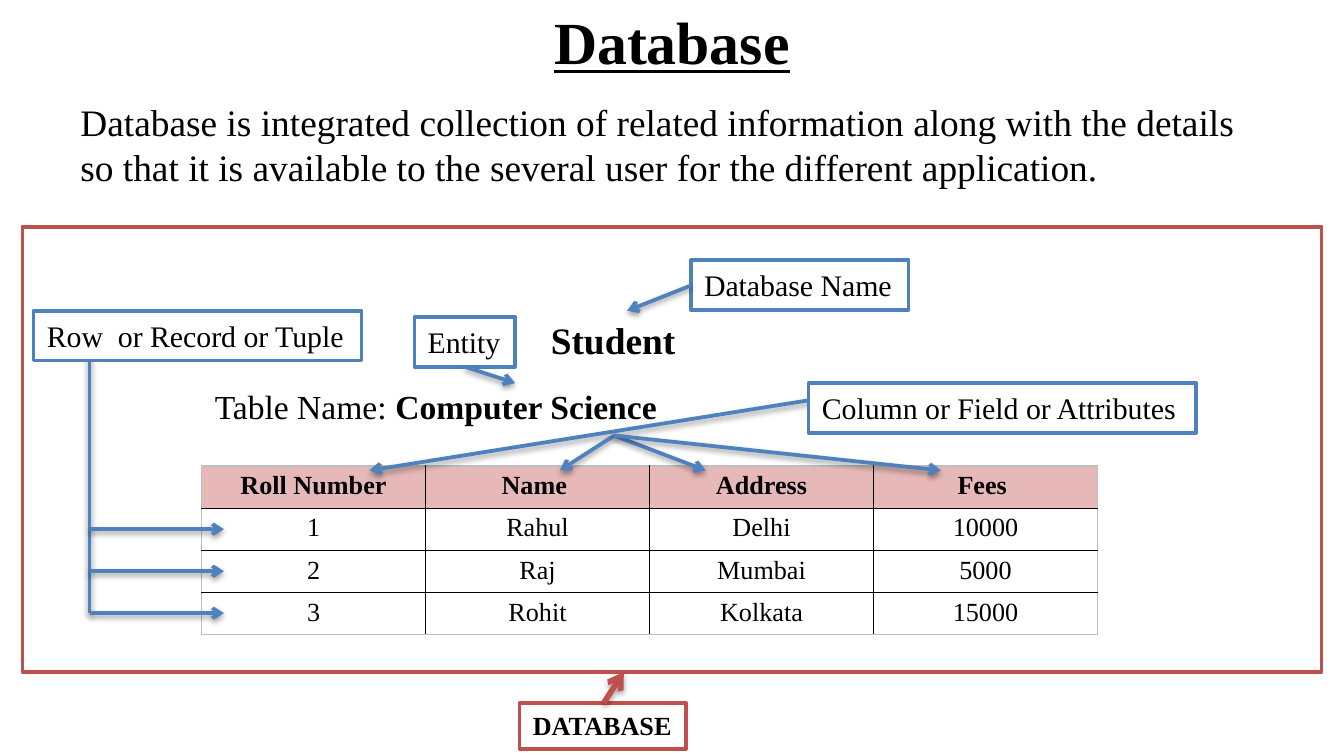
from dataclasses import dataclass

from lxml.etree import SubElement
from pptx import Presentation
from pptx.dml.color import RGBColor
from pptx.enum.shapes import MSO_CONNECTOR as LINE, MSO_SHAPE as SHAPE
from pptx.enum.text import MSO_ANCHOR as ANCHOR, MSO_AUTO_SIZE as FIT, PP_ALIGN as ALIGN
from pptx.oxml.ns import qn
from pptx.util import Inches, Pt


@dataclass(frozen=True)
class Theme:
    font: str = "Times New Roman"
    ink: str = "000000"
    paper: str = "FFFFFF"
    blue: str = "4F81BD"
    red: str = "C0504D"
    header: str = "E6B9B8"
    edge: str = "BFBFBF"
    title: int = 32
    body: int = 20
    caption: int = 18
    label: int = 16
    small: int = 14
    stroke: int = 2


def rgb(value):
    return RGBColor.from_string(value)


class Deck:
    COLS, ROWS = 60, 90

    def __init__(self, theme):
        self.theme = theme
        self.prs = Presentation()
        self.prs.slide_width, self.prs.slide_height = Inches(10), Inches(5.625)
        self.s = self.prs.slides.add_slide(self.prs.slide_layouts[6])

    def x(self, cols):
        return round(self.prs.slide_width * cols / self.COLS)

    def y(self, rows):
        return round(self.prs.slide_height * rows / self.ROWS)

    def area(self, left, top, width, height):
        return self.x(left), self.y(top), self.x(width), self.y(height)

    def fill_text(self, tf, runs, size, align=ALIGN.LEFT, **frame):
        for name, value in frame.items():
            setattr(tf, name, value)
        p = tf.paragraphs[0]
        p.alignment = align
        for text, extra in runs:
            r = p.add_run()
            r.text = text
            style = {"name": self.theme.font, "size": Pt(size), "bold": False} | extra
            for name, value in style.items():
                setattr(r.font, name, value)
            r.font.color.rgb = rgb(self.theme.ink)

    def text(self, area, runs, size, align=ALIGN.LEFT, **frame):
        sp = self.s.shapes.add_textbox(*self.area(*area))
        self.fill_text(sp.text_frame, runs, size, align, **frame)

    def box(self, area, color):
        sp = self.s.shapes.add_shape(SHAPE.RECTANGLE, *self.area(*area))
        sp.shadow.inherit = False
        sp.fill.solid()
        sp.fill.fore_color.rgb = rgb(self.theme.paper)
        sp.line.color.rgb = rgb(color)
        sp.line.width = Pt(self.theme.stroke)
        return sp

    def label(self, area, text, color, size, bold=False):
        sp = self.box(area, color)
        self.fill_text(sp.text_frame, [(text, {"bold": bold})], size,
                       vertical_anchor=ANCHOR.TOP, word_wrap=False,
                       auto_size=FIT.SHAPE_TO_FIT_TEXT)

    def line(self, start, end, color, width, head=True, alpha=38, drop=1.6):
        points = (f(v) for point in (start, end) for f, v in zip((self.x, self.y), point))
        sp = self.s.shapes.add_connector(LINE.STRAIGHT, *points)
        sp.line.color.rgb = rgb(color)
        sp.line.width = Pt(width)
        spPr = sp.element.spPr
        if head:
            SubElement(spPr.find(qn("a:ln")), qn("a:tailEnd"), type="arrow")
        effects = SubElement(spPr, qn("a:effectLst"))
        shadow = SubElement(effects, qn("a:outerShdw"), blurRad=str(Pt(3.1)),
                            dist=str(Pt(drop)), dir="5400000", rotWithShape="0")
        tint = SubElement(shadow, qn("a:srgbClr"), val=self.theme.ink)
        SubElement(tint, qn("a:alpha"), val=str(alpha * 1000))

    def border(self, tcPr, index, side, color):
        ln = tcPr.makeelement(qn(f"a:ln{side}"), {"w": str(Pt(1))})
        fill = SubElement(ln, qn("a:solidFill"))
        SubElement(fill, qn("a:srgbClr"), val=color)
        tcPr.insert(index, ln)

    def table(self, area, data):
        rows, cols = len(data), len(data[0])
        frame = self.s.shapes.add_table(rows, cols, *self.area(*area))
        table = frame.table
        table.first_row = table.horz_banding = False
        margins = {"margin_left": Inches(0.1), "margin_right": Inches(0.1),
                   "margin_top": Inches(0.04), "margin_bottom": Inches(0.04)}
        for n, tc in enumerate(frame.element.iter(qn("a:tc"))):
            row, col = divmod(n, cols)
            cell = table.cell(row, col)
            for name, value in margins.items():
                setattr(cell, name, value)
            if row == 0:
                cell.fill.solid()
                cell.fill.fore_color.rgb = rgb(self.theme.header)
            else:
                cell.fill.background()
            self.fill_text(cell.text_frame, [(data[row][col], {"bold": row == 0})],
                           self.theme.small, ALIGN.CENTER)
            outer = {"L": col == 0, "R": col == cols - 1, "T": row == 0, "B": row == rows - 1}
            for index, (side, at_edge) in enumerate(outer.items()):
                color = self.theme.edge if at_edge else self.theme.ink
                self.border(tc.get_or_add_tcPr(), index, side, color)


def main():
    t = Theme()
    deck = Deck(t)
    bold = {"bold": True}
    caption = {"word_wrap": False, "auto_size": FIT.SHAPE_TO_FIT_TEXT}

    deck.box((1, 27, 58, 53), t.red)
    deck.text((3, -1, 54, 11.7), [("Database", {"bold": True, "underline": True})],
              t.title, ALIGN.CENTER, word_wrap=True, vertical_anchor=ANCHOR.MIDDLE)
    deck.text((3, 11, 54, 16),
              [("Database is integrated collection of related information along with the "
                "details so that it is available to the several user for the different "
                "application.", {})], t.body, word_wrap=True)
    deck.table((9, 55.5, 40, 19.6), [
        ("Roll Number", "Name ", "Address", "Fees "),
        ("1", "Rahul", "Delhi", "10000"),
        ("2", "Raj", "Mumbai", "5000"),
        ("3", "Rohit", "Kolkata", "15000"),
    ])
    deck.text((24, 37, 6.84, 7), [("Student", bold)], t.body, **caption)
    deck.text((9, 45.1, 21.54, 6.4), [("Table Name: ", {}), ("Computer Science", bold)],
              t.caption, **caption)

    deck.label((30.84, 31, 9.72, 5.92), "Database Name", t.blue, t.label)
    deck.line((30.84, 34), (28, 37), t.blue, t.stroke)

    deck.line((36.48, 47.5), (16.5, 56), t.blue, t.stroke)
    for column in (25, 31.5, 42):
        deck.line((27.42, 51.85), (column, 56), t.blue, t.stroke)
    deck.label((36.1, 45.6, 17.3, 5.92), "Column or Field or Attributes", t.blue, t.label)

    deck.line((4, 40.6), (4, 73), t.blue, t.stroke, head=False)
    for row in (73, 68, 63):
        deck.line((4, row), (10, row), t.blue, t.stroke)
    deck.label((1.5, 37, 14.64, 5.92), "Row  or Record or Tuple", t.blue, t.label)

    deck.label((18.5, 37.75, 4.5, 5.92), "Entity", t.blue, t.label)
    deck.line((20.75, 43.67), (23, 45.6), t.blue, t.stroke)

    deck.label((23.2, 83.7, 7.44, 5.44), "DATABASE", t.red, t.small, bold=True)
    deck.line((26.95, 83.7), (27.85, 80), t.red, 3, alpha=35, drop=1.8)

    deck.prs.save("out.pptx")


if __name__ == "__main__":
    main()
